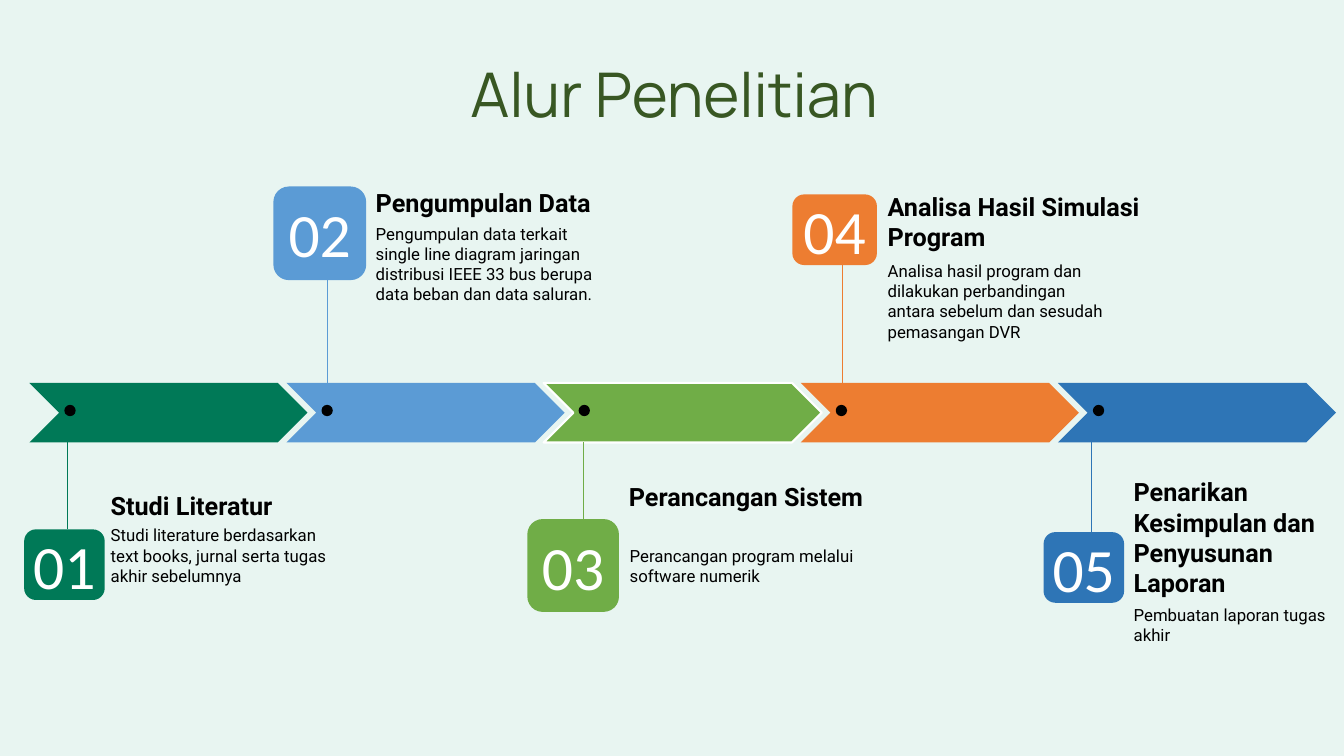
from dataclasses import dataclass

import pptx
import pptx.dml.color
import pptx.enum.shapes
import pptx.enum.text
import pptx.util
from lxml import etree
from pptx.oxml import ns

Cm = pptx.util.Cm
Pt = pptx.util.Pt
RGBColor = pptx.dml.color.RGBColor
MSO_SHAPE = pptx.enum.shapes.MSO_SHAPE
MSO_ANCHOR = pptx.enum.text.MSO_ANCHOR
PP_ALIGN = pptx.enum.text.PP_ALIGN

MINT = RGBColor(0xE8, 0xF5, 0xF1)
FOREST = RGBColor(0x38, 0x57, 0x23)
EMERALD = RGBColor(0x00, 0x79, 0x57)
SKY = RGBColor(0x5B, 0x9B, 0xD5)
LEAF = RGBColor(0x70, 0xAD, 0x47)
ORANGE = RGBColor(0xED, 0x7D, 0x31)
NAVY = RGBColor(0x2E, 0x75, 0xB6)
BLACK = RGBColor(0, 0, 0)
WHITE = RGBColor(0xFF, 0xFF, 0xFF)

ARROW_LEFT, ARROW_TOP, ARROW_PITCH = 0.74, 9.65, 6.48
ARROW_WIDTH, ARROW_HEIGHT = 7.01, 1.5
DOT_X, DOT_Y, DOT_SIZE = 0.9, 0.57, 0.25


@dataclass
class Step:
    """One stage; boxes are (x, y, width, height) in cm from its arrow's corner."""
    heading: str
    detail: str
    color: RGBColor
    badge_box: tuple
    stem_x: float
    heading_box: tuple
    detail_box: tuple
    outlined: bool = False


STEPS = [
    Step("Studi Literatur",
         "Studi literature berdasarkan text books, jurnal serta tugas akhir sebelumnya",
         EMERALD, (-0.13, 3.69, 2.03, 1.78), 0.96,
         (1.8, 2.57, 5.33, 1.02), (1.8, 3.46, 6.1, 1.8)),
    Step("Pengumpulan Data",
         "Pengumpulan data terkait single line diagram jaringan distribusi "
         "IEEE 33 bus berupa data beban dan data saluran.",
         SKY, (-0.33, -4.95, 2.34, 2.36), 1.04,
         (2, -5.05, 7.37, 1.02), (2, -4.14, 6.2, 2.31)),
    Step("Perancangan Sistem", "Perancangan program melalui software numerik",
         LEAF, (-0.41, 3.43, 2.31, 2.34), 1.01,
         (1.9, 2.36, 8.46, 1.02), (1.92, 3.98, 6.25, 1.27), outlined=True),
    Step("Analisa Hasil Simulasi Program",
         "Analisa hasil program dan dilakukan perbandingan antara sebelum "
         "dan sesudah pemasangan DVR",
         ORANGE, (-0.21, -4.75, 2.13, 1.78), 1.06,
         (1.94, -4.95, 6.91, 1.8), (1.94, -3.2, 6.2, 2.31)),
    Step("Penarikan Kesimpulan dan Penyusunan Laporan", "Pembuatan laporan tugas akhir",
         NAVY, (-0.36, 3.76, 2.03, 1.78), 0.85,
         (1.66, 2.24, 5.54, 3.33), (1.66, 5.46, 5.54, 1.27)),
]


def placed(box, left, top):
    """Turn a box relative to (left, top) into slide lengths."""
    x, y, width, height = box
    return Cm(left + x), Cm(top + y), Cm(width), Cm(height)


def format_text(frame, size, font_name, color, bold=False):
    for run in frame.paragraphs[0].runs:
        run.font.size = Pt(size)
        run.font.name = font_name
        run.font.bold = bold
        run.font.color.rgb = color


def add_filled(slide, preset, bounds, color):
    filled = slide.shapes.add_shape(preset, *bounds)
    filled.shadow.inherit = False
    filled.fill.solid()
    filled.fill.fore_color.rgb = color
    filled.line.fill.background()
    return filled


def add_label(slide, bounds, text, size, bold=False):
    frame = slide.shapes.add_textbox(*bounds).text_frame
    frame.word_wrap = True
    frame.text = text
    format_text(frame, size, "Roboto", BLACK, bold)


def add_stem(slide, step, left, top):
    """Join the arrow's edge to the facing edge of the badge."""
    _, badge_y, _, badge_height = step.badge_box
    if badge_y < 0:
        start, end = 0, badge_y + badge_height
    else:
        start, end = ARROW_HEIGHT, badge_y
    x = Cm(left + step.stem_x)
    stem = slide.shapes.add_connector(
        pptx.enum.shapes.MSO_CONNECTOR.STRAIGHT, x, Cm(top + start), x, Cm(top + end))
    stem.line.color.rgb = step.color
    stem.line.width = Pt(0.5)
    etree.SubElement(stem._element.spPr, ns.qn("a:effectLst"))


def add_badge(slide, bounds, number, color):
    badge = add_filled(slide, MSO_SHAPE.ROUNDED_RECTANGLE, bounds, color)
    frame = badge.text_frame
    frame.word_wrap = False
    frame.margin_left = frame.margin_right = frame.margin_top = frame.margin_bottom = 0
    frame.vertical_anchor = MSO_ANCHOR.MIDDLE
    frame.text = f"{number:02d}"
    frame.paragraphs[0].alignment = PP_ALIGN.CENTER
    format_text(frame, 44, "Calibri", WHITE)


def add_step(slide, number, step, left, top):
    arrow = add_filled(slide, MSO_SHAPE.CHEVRON,
                       placed((0, 0, ARROW_WIDTH, ARROW_HEIGHT), left, top), step.color)
    if step.outlined:
        arrow.line.color.rgb = WHITE
        arrow.line.width = Pt(1.5)
    dot = add_filled(slide, MSO_SHAPE.OVAL,
                     placed((DOT_X, DOT_Y, DOT_SIZE, DOT_SIZE), left, top), BLACK)
    dot.line.color.rgb = BLACK
    dot.line.width = Pt(1)
    add_stem(slide, step, left, top)
    add_badge(slide, placed(step.badge_box, left, top), number, step.color)
    add_label(slide, placed(step.heading_box, left, top), step.heading, 18, bold=True)
    add_label(slide, placed(step.detail_box, left, top), step.detail, 12)


def add_title(slide, left, top, width, height):
    title = slide.shapes.title
    title.left, title.top, title.width, title.height = left, top, width, height
    frame = title.text_frame
    frame.text = "Alur Penelitian"
    frame.word_wrap = True
    frame.auto_size = pptx.enum.text.MSO_AUTO_SIZE.NONE
    frame.vertical_anchor = MSO_ANCHOR.MIDDLE
    frame.paragraphs[0].alignment = PP_ALIGN.LEFT
    frame.paragraphs[0].line_spacing = 0.9
    format_text(frame, 44, "Manrope", FOREST)


def add_timeline(slide, left, top):
    for index, step in enumerate(STEPS):
        add_step(slide, index + 1, step, left + index * ARROW_PITCH, top)


def main():
    deck = pptx.Presentation()
    deck.slide_width, deck.slide_height = Cm(33.87), Cm(19.05)
    slide = deck.slides.add_slide(deck.slide_layouts.get_by_name("Title Only"))
    slide.background.fill.solid()
    slide.background.fill.fore_color.rgb = MINT
    add_title(slide, Cm(11.6), Cm(1.62), Cm(12.55), Cm(1.7))
    add_timeline(slide, ARROW_LEFT, ARROW_TOP)
    deck.save("out.pptx")


if __name__ == "__main__":
    main()
